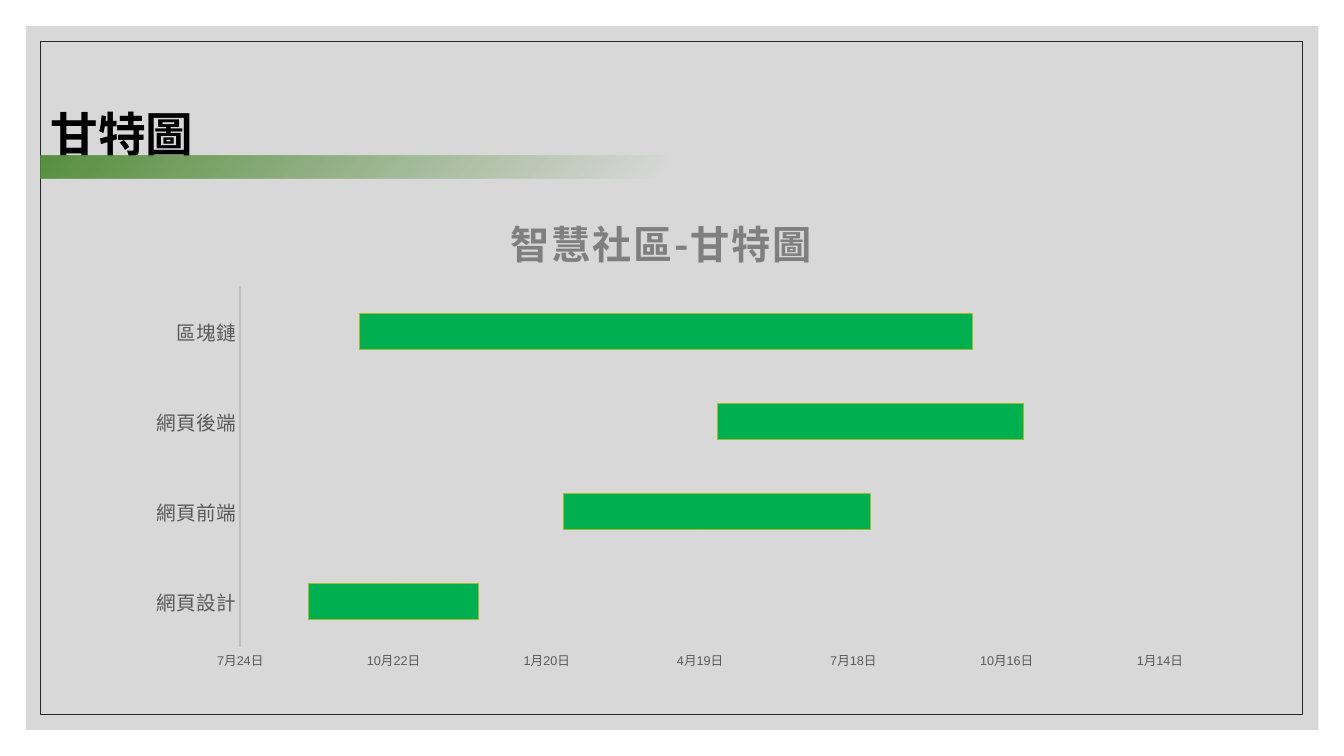
from lxml.etree import SubElement
from pptx import Presentation
from pptx.chart.data import CategoryChartData
from pptx.dml.color import RGBColor
from pptx.enum.chart import XL_CHART_TYPE, XL_TICK_MARK
from pptx.enum.shapes import MSO_SHAPE
from pptx.enum.text import MSO_ANCHOR
from pptx.oxml import parse_xml
from pptx.oxml.ns import nsdecls, qn
from pptx.util import Pt

HUES = {"panel": "BFBFBF", "frame": "262626", "band": "57903F", "ink": "000000",
        "title": "7F7F7F", "label": "595959", "axis": "BFBFBF", "grid": "D9D9D9",
        "task": "00B050", "edge": "A3BA2D"}
SANS = "Noto Sans CJK SC"
TASKS = {"網頁設計": (43710, 100), "網頁前端": (43860, 180),
         "網頁後端": (43950, 180), "區塊鏈": (43740, 360)}


class Board:
    def __init__(self, slide, hues, face):
        self.slide, self.hues, self.face = slide, hues, face

    def hue(self, name):
        return RGBColor.from_string(self.hues[name])

    def apply(self, item, form):
        for key, value in form.items():
            setattr(item, key, value)

    def font(self, font, size, hue, bold=False, face=None):
        face = face or self.face
        self.apply(font, {"size": Pt(size), "bold": bold, "name": face})
        font.color.rgb = self.hue(hue)

    def line(self, line, hue, width):
        line.color.rgb = self.hue(hue)
        line.width = Pt(width)

    def rect(self, box, fill=None, alpha=100, edge=None):
        shape = self.slide.shapes.add_shape(MSO_SHAPE.RECTANGLE, *map(Pt, box))
        shape.shadow.inherit = False
        if fill:
            shape.fill.solid()
            shape.fill.fore_color.rgb = self.hue(fill)
            tint = shape.fill._xPr.find(qn("a:solidFill"))[0]
            SubElement(tint, qn("a:alpha")).set("val", str(alpha * 1000))
        else:
            shape.fill.background()
        if edge:
            self.line(shape.line, edge, 0.75)
        else:
            shape.line.fill.background()
        return shape

    def band(self, box, hue, angle):
        shape = self.rect(box, hue)
        shape.rotation = 270
        props = shape.fill._xPr
        props.find(qn("a:xfrm")).set("flipH", "1")
        stops = "".join(
            f'<a:gs pos="{pos * 1000}"><a:srgbClr val="{self.hues[hue]}">'
            f'<a:alpha val="{alpha * 1000}"/></a:srgbClr></a:gs>'
            for pos, alpha in ((0, 100), (99, 0), (100, 0)))
        fade = parse_xml(f'<a:gradFill {nsdecls("a")} rotWithShape="1"><a:gsLst>{stops}'
                         f'</a:gsLst><a:lin ang="{angle * 60000}" scaled="0"/></a:gradFill>')
        props.replace(props.find(qn("a:solidFill")), fade)

    def text(self, box, words, size, hue):
        frame = self.slide.shapes.add_textbox(*map(Pt, box)).text_frame
        self.apply(frame, {"word_wrap": True, "vertical_anchor": MSO_ANCHOR.MIDDLE})
        para = frame.paragraphs[0]
        para.line_spacing = 1.5
        run = para.add_run()
        run.text = words
        self.font(run.font, size, hue, True)
        SubElement(run.font._element, qn("a:ea")).set("typeface", self.face)

    def place(self, node, spots, inner=False):
        old = node.find(qn("c:layout"))
        target = '<c:layoutTarget val="inner"/>' if inner else ""
        modes = "".join(f'<c:{key}Mode val="edge"/>' for key in "xy")
        sizes = "".join(f'<c:{key} val="{spot}"/>' for key, spot in zip("xywh", spots))
        new = parse_xml(f'<c:layout {nsdecls("c")}><c:manualLayout>{target}{modes}{sizes}'
                        '</c:manualLayout></c:layout>')
        if old is not None:
            node.replace(old, new)
        else:
            node.insert(1 if node.find(qn("c:tx")) is not None else 0, new)

    def gantt(self, box, title, tasks):
        data = CategoryChartData()
        data.categories = list(tasks)
        for name, values in zip(("Series 1", "Series 2"), zip(*tasks.values())):
            data.add_series(name, values)
        chart = self.slide.shapes.add_chart(
            XL_CHART_TYPE.BAR_STACKED, *map(Pt, box), data).chart
        self.font(chart.font, 10, "ink", face="Arial")
        chart.has_legend = False
        run = chart.chart_title.text_frame.paragraphs[0].add_run()
        run.text = title
        self.font(run.font, 28, "title", True)
        run.font._element.set("spc", "150")
        SubElement(run.font._element, qn("a:ea")).set("typeface", self.face)
        self.place(chart.chart_title._element, (0.343, 0.017))
        plot = chart.plots[0]
        self.apply(plot, {"gap_width": 150, "overlap": 100, "vary_by_categories": False})
        self.place(plot._element.getparent(), (0.098, 0.19, 0.856, 0.745), True)
        start, work = plot.series
        start.format.fill.background()
        work.format.fill.solid()
        work.format.fill.fore_color.rgb = self.hue("task")
        self.line(work.format.line, "edge", 0.75)
        names, days = chart.category_axis, chart.value_axis
        for axis in (names, days):
            self.apply(axis, {"major_tick_mark": XL_TICK_MARK.NONE,
                              "minor_tick_mark": XL_TICK_MARK.NONE})
        self.font(names.tick_labels.font, 14, "label")
        self.line(names.format.line, "axis", 1.5)
        self.font(days.tick_labels.font, 9, "label", face="Arial")
        self.apply(days, {"minimum_scale": 43670, "maximum_scale": 44210, "major_unit": 90})
        self.apply(days.tick_labels, {"number_format": 'm"月"d"日"',
                                      "number_format_is_linked": False})
        days.format.line.fill.background()
        self.line(days.major_gridlines.format.line, "grid", 0.75)


def main():
    deck = Presentation()
    deck.slide_width, deck.slide_height = Pt(960), Pt(540)
    board = Board(deck.slides.add_slide(deck.slide_layouts[6]), HUES, SANS)
    board.rect((18.7, 18.7, 923, 502.6), "panel", 60)
    board.rect((29.2, 29.5, 901.2, 481), edge="frame")
    board.text((29.2, 31, 388.8, 108), "甘特圖", 34, "ink")
    board.band((243.5, -103.7, 16.6, 445.7), "band", 50)
    board.gantt((96.4, 139, 767.5, 345.6), "智慧社區-甘特圖", TASKS)
    deck.save("out.pptx")


if __name__ == "__main__":
    main()
